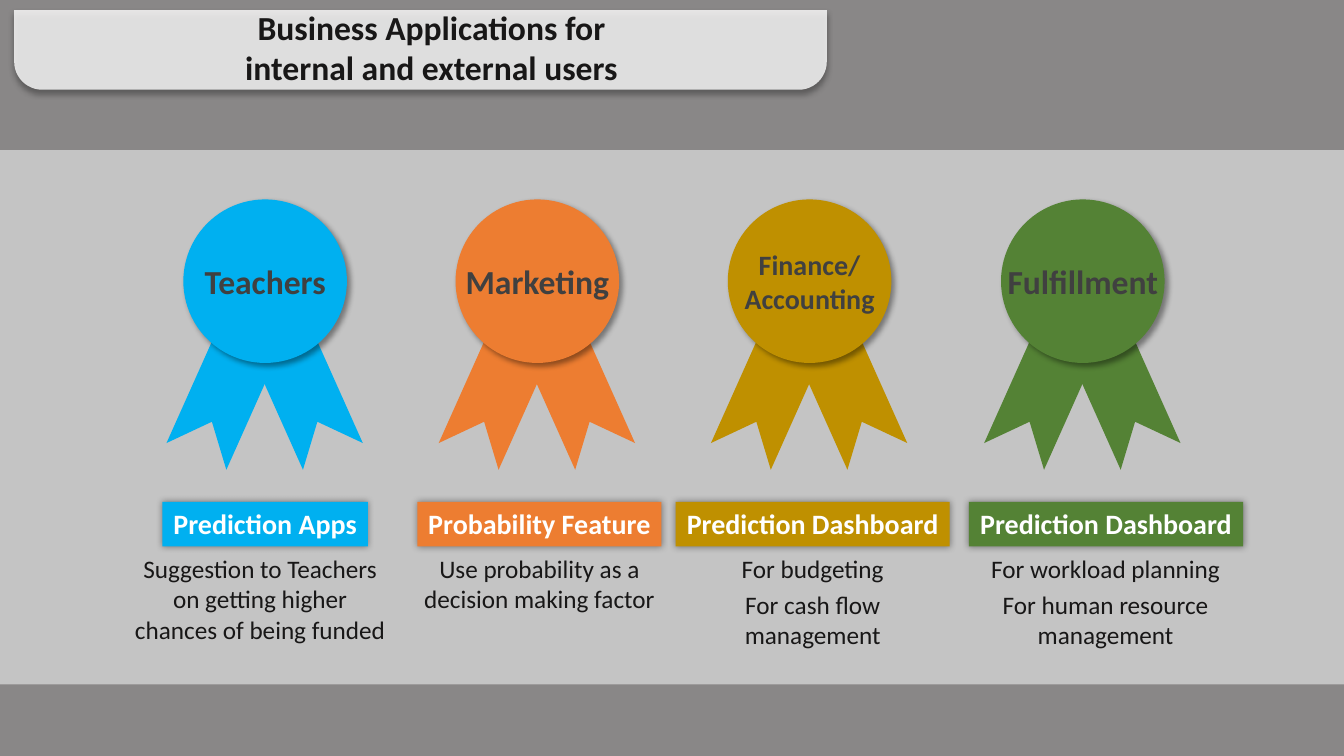
from lxml import etree
from pptx import Presentation
from pptx.dml.color import RGBColor
from pptx.enum.shapes import MSO_SHAPE
from pptx.enum.text import MSO_ANCHOR, PP_ALIGN
from pptx.oxml.ns import qn
from pptx.util import Emu, Pt

RECTANGLE = MSO_SHAPE.RECTANGLE
OVAL = MSO_SHAPE.OVAL
RIBBON = MSO_SHAPE.NOTCHED_RIGHT_ARROW
ROUND_TOP = MSO_SHAPE.ROUND_2_SAME_RECTANGLE
CENTER = PP_ALIGN.CENTER
TOP, MIDDLE = MSO_ANCHOR.TOP, MSO_ANCHOR.MIDDLE

EMU_PER_PX = 9144  # 100 px to the inch
SLIDE_WIDTH, SLIDE_HEIGHT = 1333, 750

FONT = "Calibri"
DARK, MEDAL_TEXT, WHITE = "181717", "404040", "FFFFFF"

# shadows: blur pt, distance pt, direction in degrees
MEDAL_SHADOW = (4, 3, 45)
TITLE_SHADOW = (4, 3, 90)
LABEL_SHADOW = (5, 0, 0)

TITLE = ["Business Applications for", "internal and external users"]

# colour, medal lines, medal size, label, label (left, width), body, body (left, width)
COLUMNS = [
    ("00B0F0", ["Teachers"], 24, "Prediction Apps", (161, 204),
     ["Suggestion to Teachers on getting higher chances of being funded"], (133, 250)),
    ("ED7D31", ["Marketing"], 24, "Probability Feature", (414, 242),
     ["Use probability as a decision making factor"], (414, 242)),
    ("BF9000", ["Finance/", "Accounting"], 20, "Prediction Dashboard", (670, 272),
     ["For budgeting", "For cash flow management"], (670, 272)),
    ("548235", ["Fulfillment"], 24, "Prediction Dashboard", (961, 272),
     ["For workload planning", "For human resource management"], (979, 235)),
]


def px(value):
    return Emu(value * EMU_PER_PX)


def rgb(value):
    return RGBColor.from_string(value)


def add_shadow(shape, blur, distance, direction):
    effects = shape._element.spPr.find(qn("a:effectLst"))
    shadow = etree.SubElement(
        effects, qn("a:outerShdw"), blurRad=str(Pt(blur)), dist=str(Pt(distance)),
        dir=str(direction * 60000), algn="ctr", rotWithShape="0")
    color = etree.SubElement(shadow, qn("a:srgbClr"), val="000000")
    etree.SubElement(color, qn("a:alpha"), val="40000")


def add_shape(slide, kind, box, color, opacity=100, shadow=None, line=None,
              rotation=0, adjustments=()):
    shape = slide.shapes.add_shape(kind, *map(px, box))
    shape.shadow.inherit = False
    shape.rotation = rotation
    for index, value in enumerate(adjustments):
        shape.adjustments[index] = value
    shape.fill.solid()
    shape.fill.fore_color.rgb = rgb(color)
    if opacity < 100:
        fill = shape._element.spPr.find(qn("a:solidFill"))
        etree.SubElement(fill[0], qn("a:alpha"), val=str(opacity * 1000))
    if line:
        shape.line.color.rgb = rgb(color)
        shape.line.width = Pt(line)
    else:
        shape.line.fill.background()
    if shadow:
        add_shadow(shape, *shadow)
    return shape


def write(shape, lines, size, color, bold=True, wrap=False, anchor=TOP,
          margins=(10, 5), gap=0):
    """Fill a shape with centred paragraphs; margins are (side, top and bottom)."""
    frame = shape.text_frame
    side, edge = map(px, margins)
    layout = {"word_wrap": wrap, "vertical_anchor": anchor, "margin_left": side,
              "margin_right": side, "margin_top": edge, "margin_bottom": edge}
    for name, value in layout.items():
        setattr(frame, name, value)
    for index, line in enumerate(lines):
        paragraph = frame.add_paragraph() if index else frame.paragraphs[0]
        paragraph.alignment = CENTER
        if index and gap:
            paragraph.space_before = Pt(gap)
        run = paragraph.add_run()
        run.text = line
        for name, value in {"name": FONT, "size": Pt(size), "bold": bold}.items():
            setattr(run.font, name, value)
        run.font.color.rgb = rgb(color)


def add_text(slide, box, lines, size, **options):
    text_box = slide.shapes.add_textbox(*map(px, box))
    write(text_box, lines, size, DARK, wrap=True, **options)


def add_medal(slide, left, color, lines, size):
    for offset, rotation in ((29, 245.9), (-39, 294.1)):
        add_shape(slide, RIBBON, (left + offset, 345, 165, 65), color,
                  rotation=rotation, adjustments=(1, 0.58))
    disc = add_shape(slide, OVAL, (left, 201, 156, 156), color,
                     shadow=MEDAL_SHADOW, line=4.5)
    write(disc, lines, size, MEDAL_TEXT, anchor=MIDDLE, margins=(13, 7))


def add_label(slide, left, width, color, text):
    label = add_shape(slide, RECTANGLE, (left, 498, width, 44), color, shadow=LABEL_SHADOW)
    write(label, [text], 20, WHITE)


def add_title(slide):
    add_shape(slide, ROUND_TOP, (14, 10, 806, 79), WHITE, opacity=80,
              shadow=TITLE_SHADOW, rotation=180, adjustments=(0.352, 0))
    add_text(slide, (-2, 2, 860, 127), TITLE, 24)


def main():
    presentation = Presentation()
    presentation.slide_width = px(SLIDE_WIDTH)
    presentation.slide_height = px(SLIDE_HEIGHT)
    slide = presentation.slides.add_slide(presentation.slide_layouts[6])

    add_shape(slide, RECTANGLE, (0, 0, SLIDE_WIDTH, SLIDE_HEIGHT), "3B3838", opacity=60)
    add_shape(slide, RECTANGLE, (-2, 149, 1335, 530), "D9D9D9", opacity=75)
    add_title(slide)
    for index, column in enumerate(COLUMNS):
        color, medal, size, label, label_span, body, (left, width) = column
        add_medal(slide, 185 + index * 811 // 3, color, medal, size)
        add_text(slide, (left, 549, width, 97), body, 18, bold=False,
                 margins=(0, 0), gap=4)
        add_label(slide, *label_span, color, label)

    presentation.save("out.pptx")


if __name__ == "__main__":
    main()
